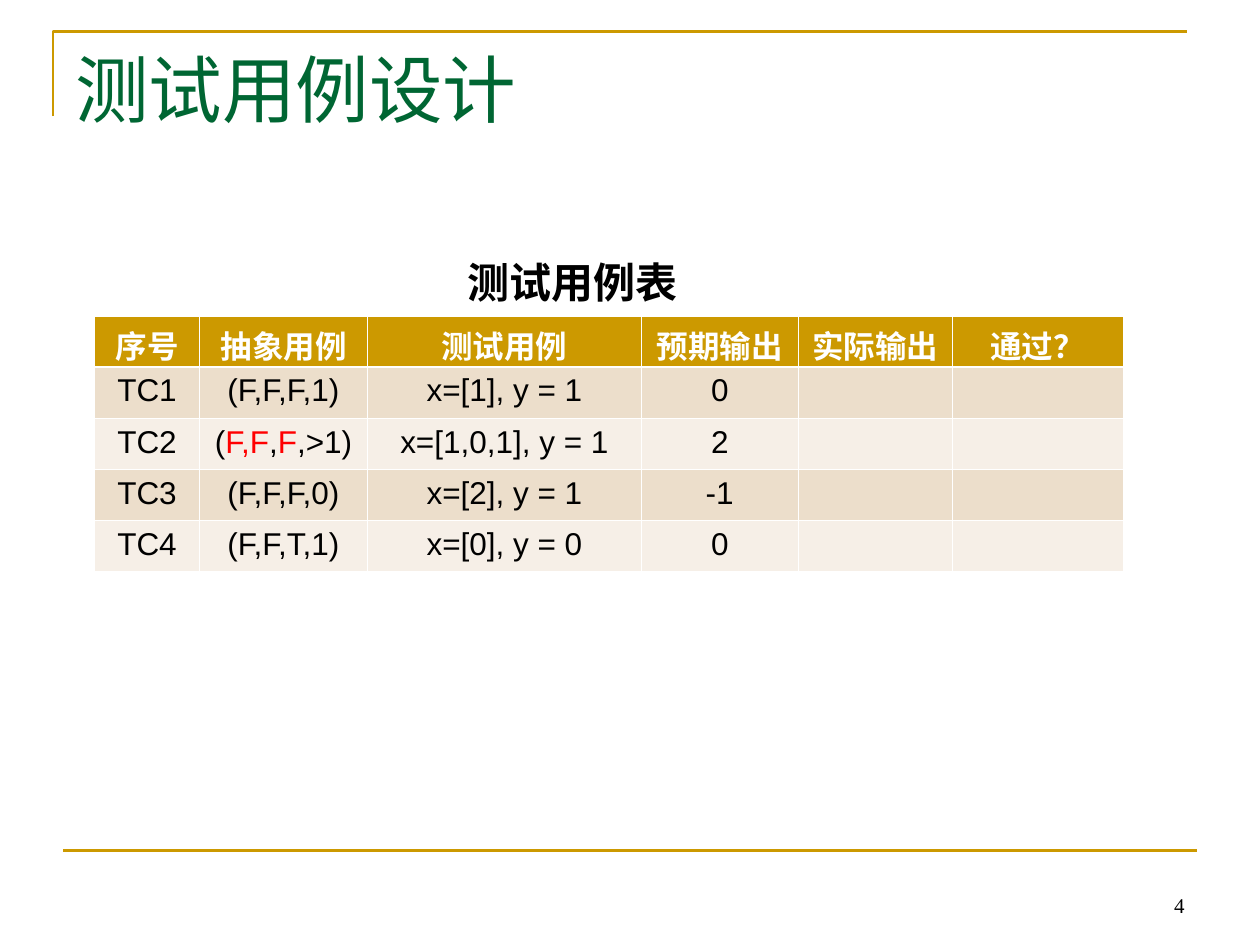
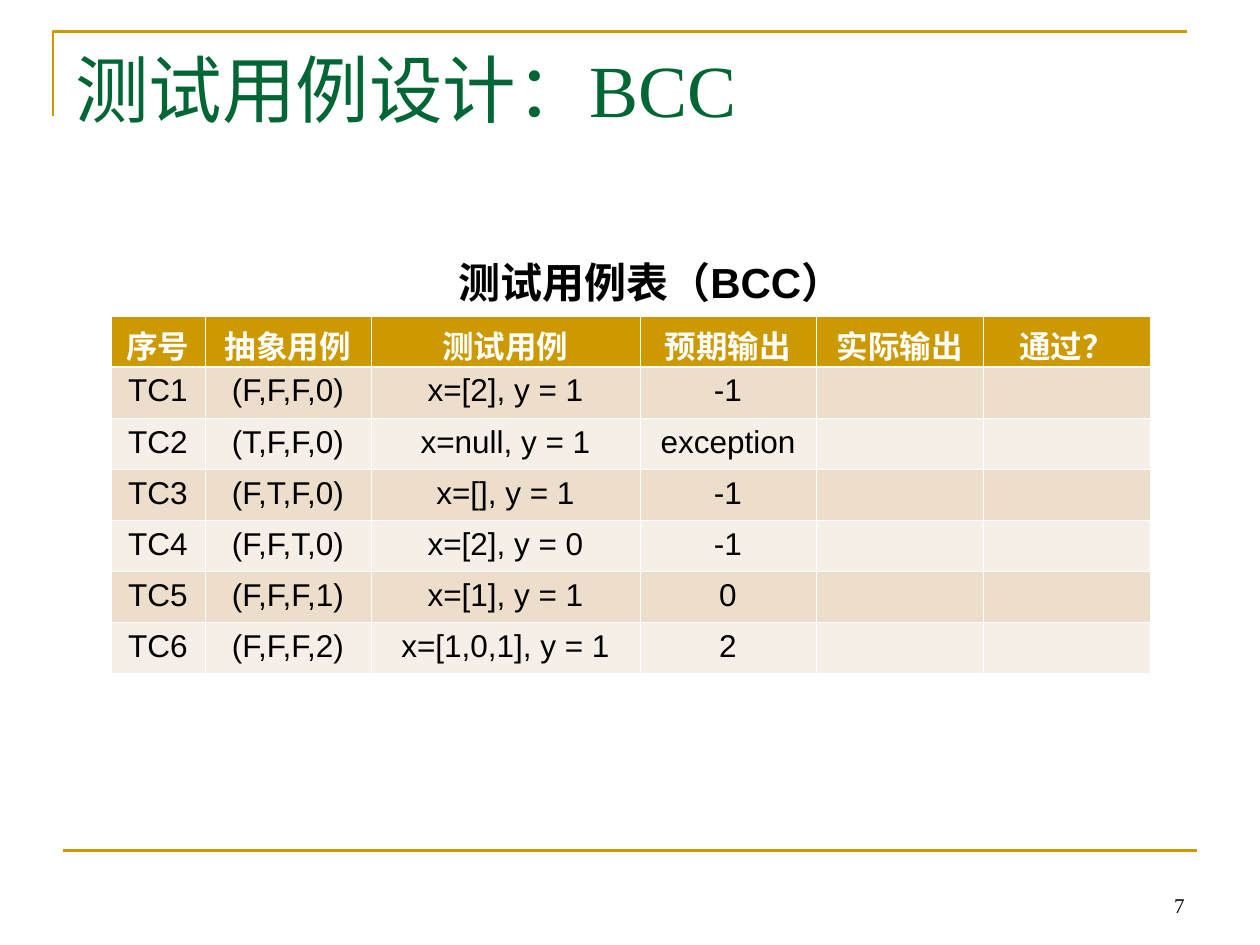
import dataclasses

import lxml.etree
import pptx
import pptx.dml.color
import pptx.enum.lang
import pptx.enum.shapes
import pptx.enum.text
import pptx.oxml.ns
import pptx.util

Cm = pptx.util.Cm
Pt = pptx.util.Pt
ALIGN = pptx.enum.text.PP_ALIGN
ANCHOR = pptx.enum.text.MSO_ANCHOR


@dataclasses.dataclass(frozen=True)
class Theme:
    gold: str = "CC9900"
    green: str = "006633"
    black: str = "000000"
    white: str = "FFFFFF"
    red: str = "FF0000"
    bands: tuple = ("ECDECB", "F6EFE7")
    serif: str = "Times New Roman"
    sans: str = "Arial"
    title_size: float = 42
    caption_size: float = 24
    cell_size: float = 18
    number_size: float = 12
    rule_width: float = 1.5
    grid_width: float = 0.45
    header_rule_width: float = 1.47


@dataclasses.dataclass(frozen=True)
class Box:
    left: float
    top: float
    width: float
    height: float

    def lengths(self):
        return Cm(self.left), Cm(self.top), Cm(self.width), Cm(self.height)


THEME = Theme()
PAGE = Box(0, 0, 25.4, 19.05)
FRAME = Box(1.07, 0.64, 22.86, 1.7)
FOOTER = Box(1.27, 17.15, 22.86, 1.48)
TITLE = Box(1.27, 0.76, 22.86, 3.18)
ROW_HEIGHT = 1.03
HEADINGS = ["序号", "抽象用例", "测试用例", "预期输出", "实际输出", "通过？"]

DESIGN_CASES = [
    ["TC1", "(F,F,F,1)", "x=[1], y = 1", "0"],
    ["TC2",
     [("(", THEME.black), ("F,F", THEME.red), (",", THEME.black),
      ("F", THEME.red), (",>1)", THEME.black)],
     "x=[1,0,1], y = 1", "2"],
    ["TC3", "(F,F,F,0)", "x=[2], y = 1", "-1"],
    ["TC4", "(F,F,T,1)", "x=[0], y = 0", "0"],
]
BCC_CASES = [
    ["TC1", "(F,F,F,0)", "x=[2], y = 1", "-1"],
    ["TC2", "(T,F,F,0)", "x=null, y = 1", "exception"],
    ["TC3", "(F,T,F,0)", "x=[], y = 1", "-1"],
    ["TC4", "(F,F,T,0)", "x=[2], y = 0", "-1"],
    ["TC5", "(F,F,F,1)", "x=[1], y = 1", "0"],
    ["TC6", "(F,F,F,2)", "x=[1,0,1], y = 1", "2"],
]


def rgb(color):
    return pptx.dml.color.RGBColor.from_string(color)


def add_run(paragraph, text, font, size, color, bold=False):
    run = paragraph.add_run()
    run.text = text
    run.font.name = font
    run.font.size = Pt(size)
    run.font.bold = bold
    run.font.color.rgb = rgb(color)
    run.font.language_id = pptx.enum.lang.MSO_LANGUAGE_ID.SIMPLIFIED_CHINESE


def add_label(slide, box, text, font, size, color, bold=False,
              align=ALIGN.LEFT, anchor=ANCHOR.TOP, wrap=True):
    label = slide.shapes.add_textbox(*box.lengths())
    frame = label.text_frame
    frame.word_wrap = wrap
    frame.vertical_anchor = anchor
    if not wrap:
        frame.auto_size = pptx.enum.text.MSO_AUTO_SIZE.SHAPE_TO_FIT_TEXT
    paragraph = frame.paragraphs[0]
    paragraph.alignment = align
    add_run(paragraph, text, font, size, color, bold)


def style_rule(rule):
    rule.line.color.rgb = rgb(THEME.gold)
    rule.line.width = Pt(THEME.rule_width)


def draw_frame(slide, box):
    left, top, width, height = box.lengths()
    outline = slide.shapes.build_freeform(left, top + height)
    outline.add_line_segments([(left, top), (left + width, top)], close=False)
    corner = outline.convert_to_shape()
    corner.shadow.inherit = False
    corner.fill.background()
    style_rule(corner)


def draw_footer(slide, box, number):
    left, top, width, _ = box.lengths()
    rule = slide.shapes.add_connector(
        pptx.enum.shapes.MSO_CONNECTOR.STRAIGHT, left, top, left + width, top)
    style_rule(rule)
    lxml.etree.SubElement(rule.element.spPr, pptx.oxml.ns.qn("a:effectLst"))
    number_box = Box(box.left + box.width - 5.92, box.top + 0.2, 5.92, 1.28)
    add_label(slide, number_box, str(number), THEME.serif, THEME.number_size,
              THEME.black, align=ALIGN.RIGHT, anchor=ANCHOR.BOTTOM)


def set_border(cell, side, width):
    properties = cell._tc.get_or_add_tcPr()
    border = lxml.etree.SubElement(
        properties, pptx.oxml.ns.qn(f"a:ln{side}"), w=str(int(Pt(width))))
    fill = lxml.etree.SubElement(border, pptx.oxml.ns.qn("a:solidFill"))
    lxml.etree.SubElement(fill, pptx.oxml.ns.qn("a:srgbClr"), val=THEME.white)


def fill_cell(cell, content, row):
    is_header = row == 0
    heavy_side = {0: "B", 1: "T"}.get(row)
    for side in "LRTB":
        set_border(cell, side, THEME.header_rule_width if side == heavy_side
                   else THEME.grid_width)
    cell.fill.solid()
    cell.fill.fore_color.rgb = rgb(
        THEME.gold if is_header else THEME.bands[(row - 1) % 2])
    paragraph = cell.text_frame.paragraphs[0]
    paragraph.alignment = ALIGN.CENTER
    paragraph.font.size = Pt(THEME.cell_size)
    if isinstance(content, str):
        content = [(content, THEME.white if is_header else THEME.black)]
    for text, color in content:
        add_run(paragraph, text, THEME.sans, THEME.cell_size, color, is_header)


def draw_cases(slide, box, column_widths, cases):
    rows = [HEADINGS] + cases
    grid = slide.shapes.add_table(
        len(rows), len(HEADINGS), *box.lengths()).table
    for column, width in zip(grid.columns, column_widths):
        column.width = Cm(width)
    for row, contents in enumerate(rows):
        grid.rows[row].height = Cm(ROW_HEIGHT)
        for column in range(len(HEADINGS)):
            content = contents[column] if column < len(contents) else []
            fill_cell(grid.cell(row, column), content, row)


def build_case_slide(deck, number, title, caption, caption_box,
                     table_left, column_widths, cases):
    slide = deck.slides.add_slide(deck.slide_layouts[6])
    draw_frame(slide, FRAME)
    draw_footer(slide, FOOTER, number)
    add_label(slide, TITLE, title, THEME.serif, THEME.title_size, THEME.green)
    table_box = Box(table_left, 6.37, sum(column_widths),
                    ROW_HEIGHT * (len(cases) + 1))
    draw_cases(slide, table_box, column_widths, cases)
    add_label(slide, caption_box, caption, THEME.sans, THEME.caption_size,
              THEME.black, bold=True, wrap=False)


def main():
    deck = pptx.Presentation()
    _, _, deck.slide_width, deck.slide_height = PAGE.lengths()
    build_case_slide(deck, 4, "测试用例设计", "测试用例表",
                     Box(9.17, 5.05, 4.93, 1.27), 1.91,
                     [2.11, 3.39, 5.52, 3.16, 3.1, 3.45], DESIGN_CASES)
    build_case_slide(deck, 7, "测试用例设计：BCC", "测试用例表（BCC）",
                     Box(8.99, 5.05, 8.86, 1.27), 2.24,
                     [1.89, 3.35, 5.42, 3.55, 3.37, 3.36], BCC_CASES)
    deck.save("out.pptx")


if __name__ == "__main__":
    main()
